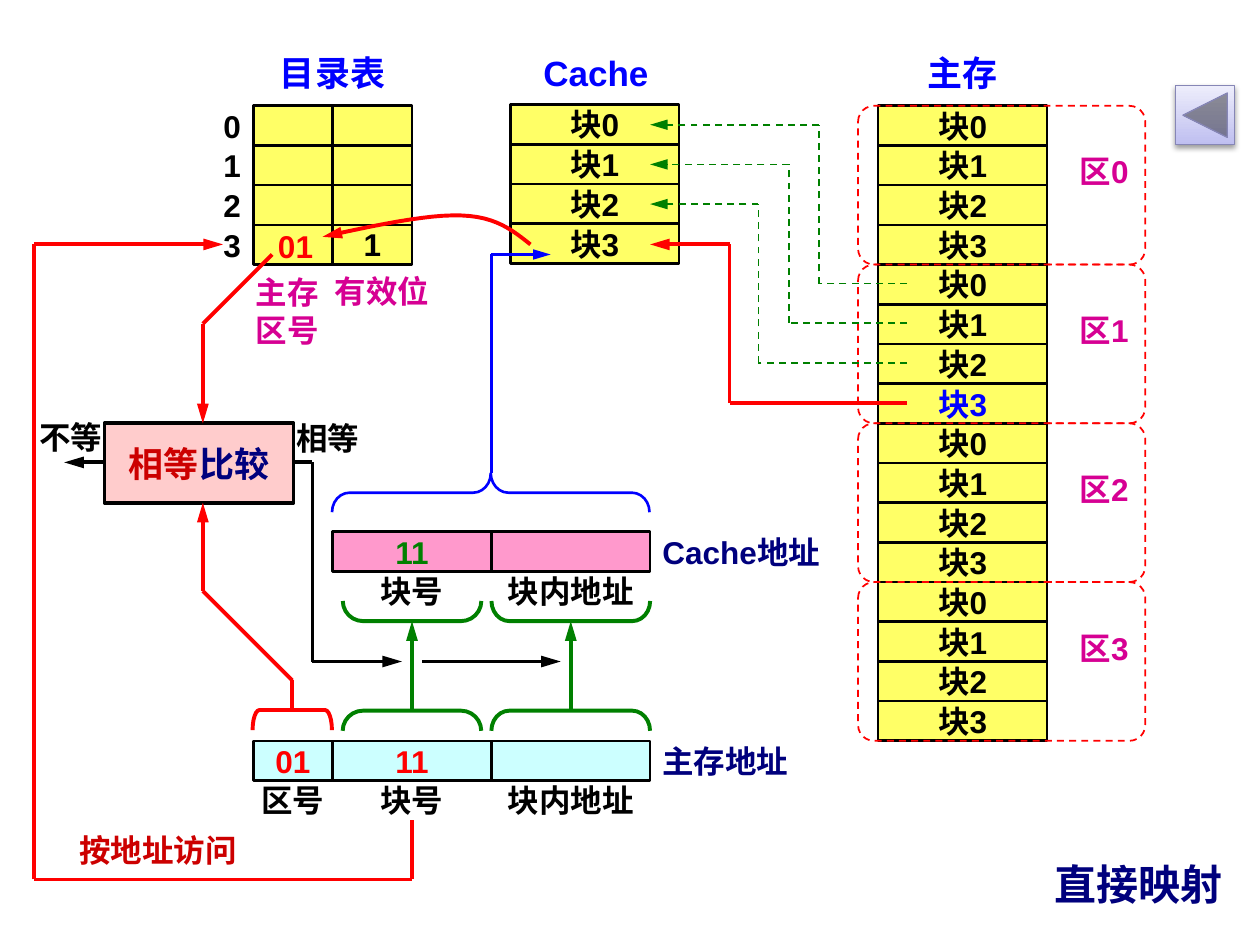
from dataclasses import dataclass
from itertools import pairwise

from lxml.etree import SubElement
from pptx import Presentation
from pptx.dml.color import RGBColor
from pptx.enum.dml import MSO_LINE
from pptx.enum.shapes import MSO_CONNECTOR, MSO_SHAPE
from pptx.enum.text import MSO_ANCHOR, PP_ALIGN
from pptx.oxml.ns import qn
from pptx.util import Inches, Pt


@dataclass(frozen=True)
class Theme:
    font: str = "Arial"
    body: int = 18
    head: int = 20
    title: int = 24
    black: str = "000000"
    red: str = "FF0000"
    crimson: str = "CC0000"
    green: str = "008000"
    blue: str = "0000FF"
    navy: str = "00007D"
    magenta: str = "D60093"
    yellow: str = "FFFF66"
    cyan: str = "CCFFFF"
    pink: str = "FF99CC"
    rose: str = "FFCCCC"
    button_dark: str = "BFBFF0"
    button_light: str = "EDEDFB"
    button_line: str = "8686B6"
    thin: float = 1
    medium: float = 1.5
    thick: float = 2.25


T = Theme()
LEFT, CENTER, RIGHT = PP_ALIGN.LEFT, PP_ALIGN.CENTER, PP_ALIGN.RIGHT
rgb = RGBColor.from_string

prs = Presentation()
prs.slide_width, prs.slide_height = Inches(10), Inches(7.5)
s = prs.slides.add_slide(prs.slide_layouts[5])


def box(x, y, w, h, text="", color=T.black, fill=None, size=T.body,
        align=CENTER, wrap=False, kind=MSO_SHAPE.RECTANGLE):
    at = Inches(x), Inches(y), Inches(w), Inches(h)
    if fill:
        sp = s.shapes.add_shape(kind, *at)
        sp.shadow.inherit = False
        sp.fill.solid()
        sp.fill.fore_color.rgb = rgb(fill)
        sp.line.color.rgb = rgb(T.black)
        sp.line.width = Pt(T.medium)
    else:
        sp = s.shapes.add_textbox(*at)
    tf = sp.text_frame
    tf.word_wrap = wrap
    tf.vertical_anchor = MSO_ANCHOR.TOP if wrap else MSO_ANCHOR.MIDDLE
    if not wrap:
        tf.margin_left = Inches(0.1 if align == LEFT else 0)
        tf.margin_right = Inches(0.1 if align == RIGHT else 0)
    p = tf.paragraphs[0]
    p.text = text
    p.alignment = align
    for r in p.runs:
        r.font.name, r.font.size, r.font.bold = T.font, Pt(size), True
        r.font.color.rgb = rgb(color)
    return sp


def route(points, color, width=T.thick, dash=False):
    for start, end in pairwise(points):
        c = s.shapes.add_connector(MSO_CONNECTOR.STRAIGHT, *map(Inches, start + end))
        c.line.color.rgb = rgb(color)
        c.line.width = Pt(width)
        if dash:
            c.line.dash_style = MSO_LINE.DASH
        SubElement(c._element.spPr, qn("a:effectLst"))
    ln = c._element.spPr.find(qn("a:ln"))
    SubElement(ln, qn("a:tailEnd"), type="triangle", w="med", len="lg")


zone_h = 1.26
row_h = zone_h / 4
top = 0.84

for x, w, text in [(2.01, 1.26, "目录表"), (4.06, 1.34, "Cache"), (6.97, 1.34, "主存")]:
    box(x, 0.36, w, 0.43, text, T.blue, size=T.head, wrap=True)

for i in range(4):
    y = top + i * row_h
    box(4.05, y - 0.01, 1.34, row_h, f"块{i}", fill=T.yellow)
    box(1.38, y, 0.63, row_h, str(i), align=RIGHT)
    for x in (2.01, 2.64):
        box(x, y, 0.63, row_h, fill=T.yellow)

box(2.07, 1.75, 0.55, 0.4, "01", T.red, wrap=True)
box(2.76, 1.74, 0.39, 0.4, "1", wrap=True)
box(1.93, 2.12, 0.71, 0.7, "主存区号", T.magenta, align=LEFT, wrap=True)
box(2.56, 2.11, 1.03, 0.4, "有效位", T.magenta, align=LEFT, wrap=True)

for zone in range(4):
    y = top + zone * zone_h
    box(8.47, y + 0.32, 0.63, 0.4, f"区{zone}", T.magenta, align=LEFT, wrap=True)
    for i in range(4):
        color = T.blue if (zone, i) == (1, 3) else T.black
        box(6.97, y + i * row_h, 1.34, row_h, f"块{i}", color, T.yellow)
    sp = s.shapes.add_shape(MSO_SHAPE.ROUNDED_RECTANGLE, Inches(6.81), Inches(y),
                            Inches(2.28), Inches(zone_h))
    sp.adjustments[0] = 0.1
    sp.shadow.inherit = False
    sp.fill.background()
    sp.line.color.rgb = rgb(T.red)
    sp.line.width = Pt(T.thin)
    sp.line.dash_style = MSO_LINE.DASH

fields = [
    (5.88, 2.01, 0.63, "01", "区号", T.red, T.cyan),
    (5.88, 2.64, 1.26, "11", "块号", T.red, T.cyan),
    (5.88, 3.9, 1.26, "", "块内地址", T.red, T.cyan),
    (4.22, 2.64, 1.26, "11", "块号", T.green, T.pink),
    (4.22, 3.9, 1.26, "", "块内地址", T.green, T.pink),
]
for y, x, w, value, name, color, fill in fields:
    box(x, y, w, row_h, value, color, fill)
    box(x, y + row_h, w, row_h, name)
box(5.16, 5.88, 1.26, row_h, "主存地址", T.navy, align=LEFT)
box(5.16, 4.22, 1.5, row_h, "Cache地址", T.navy, align=LEFT)

sp = box(0.83, 3.36, 1.5, 0.63, "相等", T.crimson, T.rose, T.head,
         kind=MSO_SHAPE.ROUNDED_RECTANGLE)
sp.adjustments[0] = 0
sp.line.width = Pt(T.thick)
r = sp.text_frame.paragraphs[0].add_run()
r.text = "比较"
r.font.name, r.font.size, r.font.bold = T.font, Pt(T.head), True
r.font.color.rgb = rgb(T.navy)
box(0.2, 3.27, 0.71, 0.4, "不等", align=RIGHT, wrap=True)
box(2.24, 3.28, 0.71, 0.4, "相等", align=RIGHT, wrap=True)
box(0.43, 6.59, 1.65, row_h, "按地址访问", T.crimson)

route([(7.2, 3.2), (5.79, 3.2), (5.79, 1.94), (5.16, 1.94)], T.red)
route([(3.27, 6.51), (3.27, 6.98), (0.27, 6.98), (0.27, 1.94), (1.77, 1.94)], T.red)
route([(2.16, 2.02), (1.61, 2.57), (1.61, 3.36)], T.red)
route([(2.32, 5.64), (2.32, 5.4), (1.61, 4.69), (1.61, 3.99)], T.red)
route([(0.83, 3.67), (0.51, 3.67)], T.black)
route([(2.32, 3.67), (2.48, 3.67), (2.48, 5.25), (3.19, 5.25)], T.black)
route([(3.35, 5.25), (4.45, 5.25)], T.black)
route([(3.9, 3.75), (3.9, 2.02), (4.37, 2.02)], T.blue, T.medium)
for x in (3.27, 4.53):
    route([(x, 5.64), (x, 4.93)], T.green)
for i, x in enumerate((6.5, 6.26, 6.02)):
    y = 0.99 + i * row_h
    route([(7.2, y + zone_h), (x, y + zone_h), (x, y), (5.16, y)], T.green, T.thin, dash=True)

bracket, brace = MSO_SHAPE.RIGHT_BRACKET, MSO_SHAPE.RIGHT_BRACE
braces = [
    (bracket, 2.24, 5.4, 0.16, 0.63, 270, 0.34, T.red, T.thick),
    (bracket, 3.19, 5.17, 0.16, 1.1, 270, 1.01, T.green, T.thick),
    (bracket, 4.45, 5.09, 0.16, 1.26, 270, 0.89, T.green, T.thick),
    (bracket, 3.19, 4.3, 0.16, 1.1, 90, 1.01, T.green, T.thick),
    (bracket, 4.45, 4.22, 0.16, 1.26, 90, 0.89, T.green, T.thick),
    (brace, 3.74, 2.65, 0.31, 2.52, 270, 0.45, T.blue, T.medium),
]
for kind, x, y, w, h, angle, bend, color, width in braces:
    sp = s.shapes.add_shape(kind, Inches(x), Inches(y), Inches(w), Inches(h))
    sp.rotation = angle
    sp.adjustments[0] = bend
    sp.shadow.inherit = False
    sp.fill.background()
    sp.line.color.rgb = rgb(color)
    sp.line.width = Pt(width)

curves = [
    [(4.21, 1.94), (4.07, 1.83), (3.94, 1.72), (3.66, 1.71)],
    [(3.66, 1.71), (3.39, 1.7), (2.97, 1.79), (2.56, 1.88)],
]
steps = 12
points = []
for curve in curves:
    for k in range(1, steps + 1):
        t = k / steps
        weights = (1 - t) ** 3, 3 * t * (1 - t) ** 2, 3 * t * t * (1 - t), t ** 3
        points.append(tuple(Inches(sum(a * b for a, b in zip(weights, axis)))
                            for axis in zip(*curve)))
fb = s.shapes.build_freeform(Inches(4.21), Inches(1.94))
fb.add_line_segments(points, close=False)
sp = fb.convert_to_shape()
sp.shadow.inherit = False
sp.fill.background()
sp.line.color.rgb = rgb(T.red)
sp.line.width = Pt(T.thick)
SubElement(sp._element.spPr.find(qn("a:ln")), qn("a:tailEnd"),
           type="triangle", w="med", len="lg")

sp = s.shapes.add_shape(MSO_SHAPE.ACTION_BUTTON_BACK_OR_PREVIOUS,
                        Inches(9.33), Inches(0.68), Inches(0.47), Inches(0.47))
sp.fill.gradient()
sp.fill.gradient_angle = 90
for stop, color in zip(sp.fill.gradient_stops, (T.button_dark, T.button_light)):
    stop.color.rgb = rgb(color)
sp.line.color.rgb = rgb(T.button_line)
sp.line.width = Pt(0.75)
sp.shadow.inherit = False
shadow = SubElement(sp._element.spPr.find(qn("a:effectLst")), qn("a:outerShdw"),
                    blurRad="40000", dist="20000", dir="5400000", rotWithShape="0")
SubElement(SubElement(shadow, qn("a:srgbClr"), val=T.black), qn("a:alpha"), val="38000")

sp = s.shapes.title
sp.left, sp.top, sp.width, sp.height = Inches(8.23), Inches(6.74), Inches(1.57), Inches(0.55)
tf = sp.text_frame
tf.text = "直接映射"
tf.word_wrap = False
tf.vertical_anchor = MSO_ANCHOR.MIDDLE
p = tf.paragraphs[0]
p.alignment = RIGHT
r = p.runs[0]
r.font.name, r.font.size, r.font.bold = T.font, Pt(T.title), True
r.font.color.rgb = rgb(T.navy)

prs.save("out.pptx")
